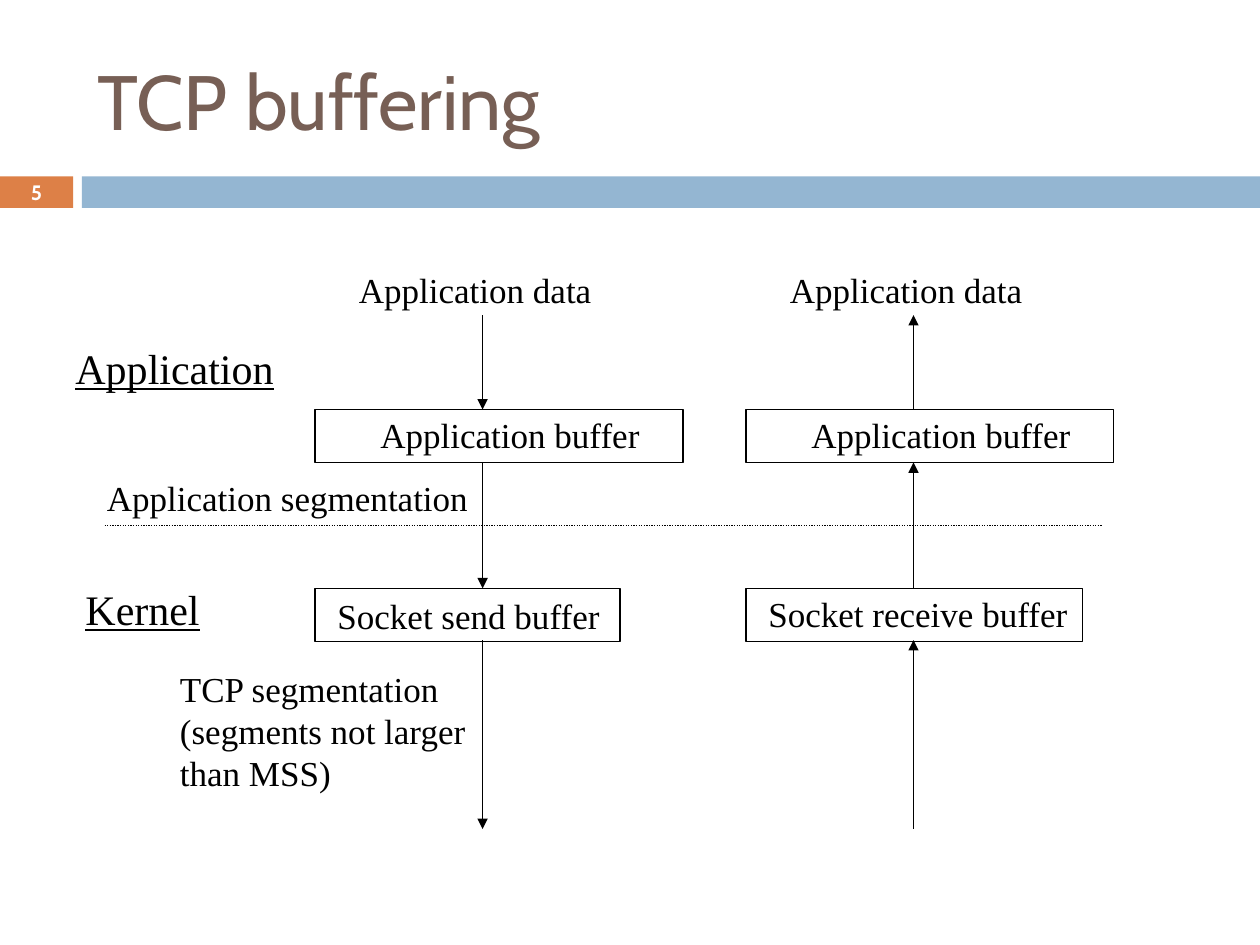
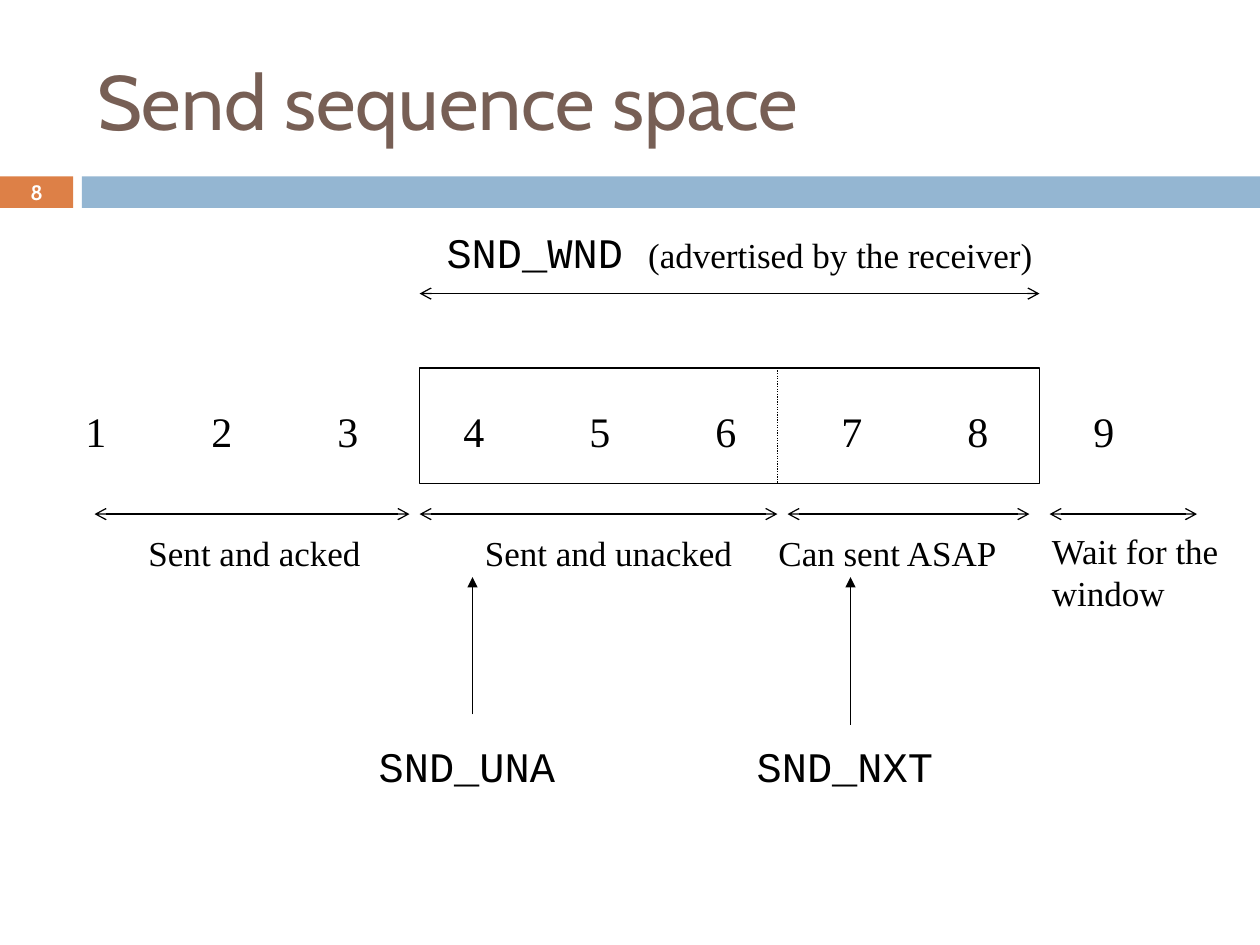
from lxml.etree import SubElement
from pptx import Presentation
from pptx.dml.color import RGBColor
from pptx.enum.dml import MSO_LINE
from pptx.enum.shapes import MSO_CONNECTOR, MSO_SHAPE
from pptx.enum.text import MSO_ANCHOR, MSO_AUTO_SIZE, PP_ALIGN
from pptx.oxml.ns import qn
from pptx.util import Inches, Pt

BLACK = RGBColor(0x00, 0x00, 0x00)
WHITE = RGBColor(0xFF, 0xFF, 0xFF)
BROWN = RGBColor(0x77, 0x5F, 0x55)
ORANGE = RGBColor(0xDD, 0x80, 0x47)
BLUE = RGBColor(0x94, 0xB6, 0xD2)
HEADING, SERIF, MONO = "Cabin", "Times New Roman", "Courier New"
TITLE_ONLY = 5
LINE_WIDTH = Pt(0.75)


def style(span, size, font, color=BLACK, bold=False, underline=False):
    span.font.size = Pt(size)
    span.font.name = font
    span.font.color.rgb = color
    span.font.bold = bold
    span.font.underline = underline


def add_label(page, left, top, width, text, size=20, font=SERIF, height=0.43,
              align=PP_ALIGN.LEFT, underline=False):
    box = page.shapes.add_textbox(Inches(left), Inches(top), Inches(width), Inches(height))
    frame = box.text_frame
    frame.word_wrap = True
    frame.auto_size = MSO_AUTO_SIZE.SHAPE_TO_FIT_TEXT
    frame.text = text
    para = frame.paragraphs[0]
    para.alignment = align
    style(para.runs[0], size, font, underline=underline)
    return para


def add_box(page, left, top, width, height, fill=None, line=None):
    box = page.shapes.add_shape(MSO_SHAPE.RECTANGLE, Inches(left), Inches(top),
                                Inches(width), Inches(height))
    box.shadow.inherit = False
    if fill is None:
        box.fill.background()
    else:
        box.fill.solid()
        box.fill.fore_color.rgb = fill
    if line is None:
        box.line.fill.background()
    else:
        box.line.color.rgb = line
        box.line.width = LINE_WIDTH
    return box


def add_line(page, start, end, head=None, tail=None, dotted=False):
    link = page.shapes.add_connector(MSO_CONNECTOR.STRAIGHT, *map(Inches, start + end))
    link.line.color.rgb = BLACK
    link.line.width = LINE_WIDTH
    if dotted:
        link.line.dash_style = MSO_LINE.ROUND_DOT
    outline = link.line._get_or_add_ln()
    for tag, kind in (("a:headEnd", head), ("a:tailEnd", tail)):
        if kind:
            SubElement(outline, qn(tag), type=kind)
    SubElement(link.element.spPr, qn("a:effectLst"))


def add_page(deck, title, number):
    page = deck.slides.add_slide(deck.slide_layouts[TITLE_ONLY])
    add_box(page, 0, 1.4, 0.58, 0.25, fill=ORANGE)
    add_box(page, 0.65, 1.4, 9.35, 0.25, fill=BLUE)

    heading = page.shapes.title
    heading.left, heading.top = Inches(0.67), Inches(0.25)
    heading.width, heading.height = Inches(8.92), Inches(1.08)
    frame = heading.text_frame
    frame.auto_size = MSO_AUTO_SIZE.NONE
    frame.vertical_anchor = MSO_ANCHOR.MIDDLE
    frame.text = title
    frame.paragraphs[0].alignment = PP_ALIGN.LEFT
    style(frame.paragraphs[0].runs[0], 44, HEADING, BROWN)

    frame = page.shapes.add_textbox(Inches(0), Inches(1.39), Inches(0.58),
                                    Inches(0.27)).text_frame
    frame.word_wrap = True
    frame.vertical_anchor = MSO_ANCHOR.MIDDLE
    frame.text = number
    frame.paragraphs[0].alignment = PP_ALIGN.CENTER
    style(frame.paragraphs[0].runs[0], 11.9, HEADING, WHITE, bold=True)
    return page


def add_buffer_column(page, left, top, socket_text, socket_width, socket_text_top, arrow_end):
    add_label(page, left + 0.25, top, 2.33, "Application data")
    add_box(page, left, top + 1.17, 2.92, 0.42, WHITE, BLACK)
    add_label(page, left + 0.42, top + 1.15, 2.42, "Application buffer")
    add_box(page, left, top + 2.59, socket_width, 0.42, WHITE, BLACK)
    add_label(page, left + 0.08, top + socket_text_top, socket_width - 0.09, socket_text)
    middle = left + 1.33
    for start, end in ((0.42, 1.17), (1.59, 2.59), (3, 4.5)):
        add_line(page, (middle, top + start), (middle, top + end), **{arrow_end: "triangle"})


def add_layers(page, left, top):
    add_label(page, left, top, 1.92, "Application", 24, height=0.5, underline=True)
    add_label(page, left + 0.25, top + 1.06, 3.17, "Application segmentation")
    add_line(page, (left + 0.33, top + 1.5), (left + 8.25, top + 1.5), dotted=True)
    add_label(page, left + 0.08, top + 1.91, 1.33, "Kernel", 24, height=0.5, underline=True)
    add_label(page, left + 0.83, top + 2.58, 3,
              "TCP segmentation (segments not larger than MSS)", height=1.1)


def add_sequence(page, left, top):
    para = add_label(page, left, top, 8.58, "\t".join(map(str, range(1, 10))), 24, height=0.5)
    stops = SubElement(para._p.get_or_add_pPr(), qn("a:tabLst"))
    for inch in range(1, 9):
        SubElement(stops, qn("a:tab"), pos=str(Inches(inch)), algn="l")


def add_window(page, left, top, width, height):
    right, split = left + width, left + 2.84
    add_box(page, left, top, width, height, line=BLACK)
    add_line(page, (split, top), (split, top + height), dotted=True)
    add_line(page, (left, top - 0.59), (right, top - 0.59), head="arrow", tail="arrow")
    para = add_label(page, left - 0.25, top - 1.17, 5.58, "SND_WND ", 24, MONO,
                     height=0.5, align=PP_ALIGN.CENTER)
    span = para.add_run()
    span.text = "(advertised by the receiver)"
    style(span, 20, SERIF)


def add_ranges(page, top):
    ranges = (
        (0.75, 3.25, 1.08, 1.92, "Sent and acked"),
        (3.33, 6.17, 3.75, 2.17, "Sent and unacked"),
        (6.25, 8.17, 6.08, 2.17, "Can sent ASAP"),
    )
    for start, end, left, width, text in ranges:
        add_line(page, (start, top), (end, top), head="arrow", tail="arrow")
        add_label(page, left, top + 0.09, width, text)
    add_line(page, (8.33, top), (9.5, top), head="arrow", tail="arrow")
    add_label(page, 8.25, top + 0.07, 1.58, "Wait for the window", height=0.77)


def add_pointer(page, middle, top, length, name):
    add_line(page, (middle, top + length), (middle, top), tail="triangle")
    add_label(page, middle - 0.92, top + 1.25, 1.75, name, 24, MONO,
              height=0.5, align=PP_ALIGN.CENTER)


def build_buffering(deck):
    page = add_page(deck, "TCP buffering", "5")
    add_buffer_column(page, 2.5, 2.08, "Socket send buffer", 2.42, 2.59, "tail")
    add_buffer_column(page, 5.92, 2.08, "Socket receive buffer", 2.67, 2.57, "head")
    add_layers(page, 0.5, 2.67)


def build_sequence_space(deck):
    page = add_page(deck, "Send sequence space", "8")
    add_sequence(page, 0.58, 3.17)
    add_window(page, 3.33, 2.92, 4.92, 0.92)
    add_ranges(page, 4.08)
    add_pointer(page, 3.75, 4.58, 1.09, "SND_UNA")
    add_pointer(page, 6.75, 4.58, 1.17, "SND_NXT")


deck = Presentation()
deck.slide_width, deck.slide_height = Inches(10), Inches(7.5)
build_buffering(deck)
build_sequence_space(deck)
deck.save("out.pptx")
